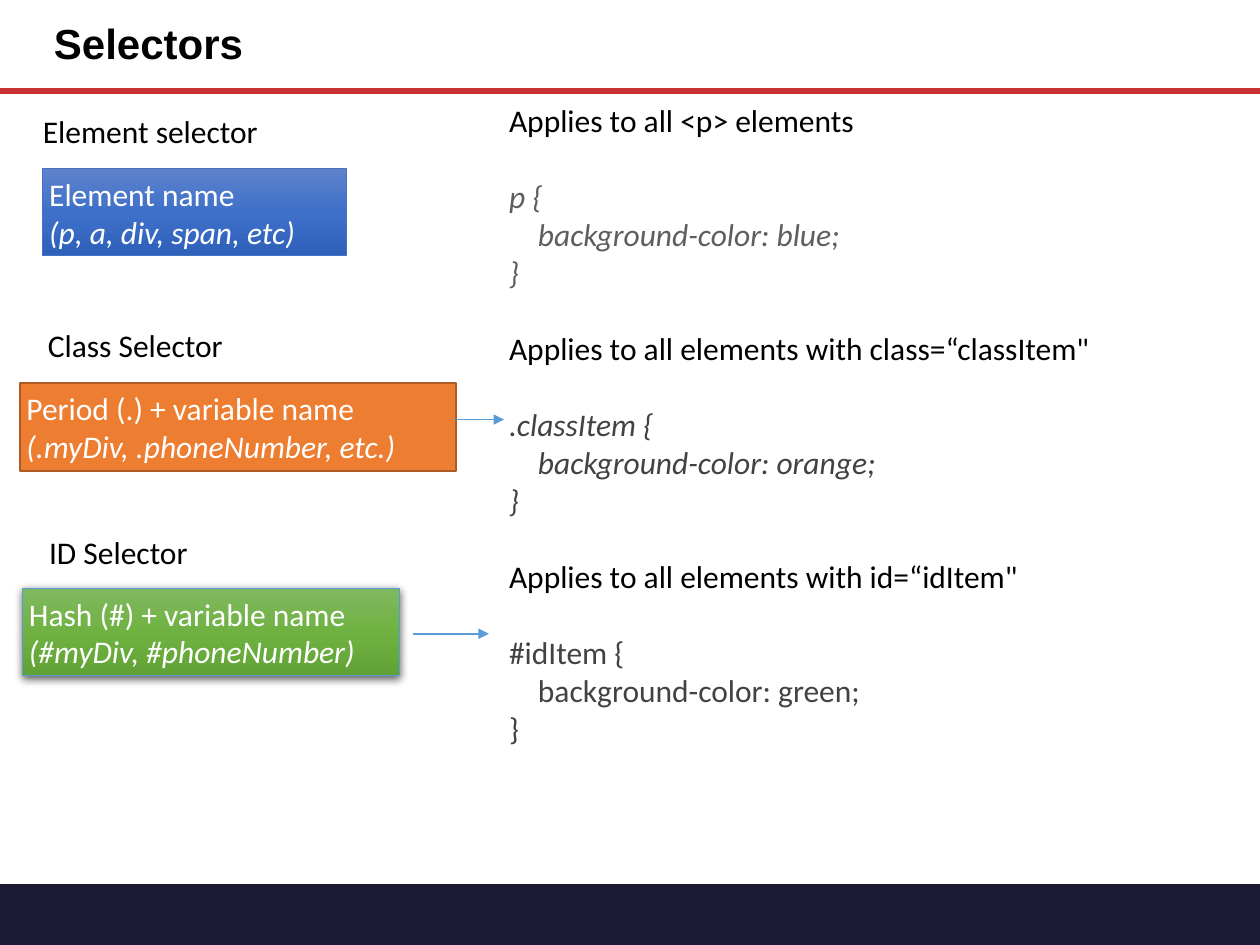
from copy import deepcopy

from lxml import etree
from pptx import Presentation
from pptx.dml.color import RGBColor
from pptx.enum.shapes import MSO_CONNECTOR, MSO_SHAPE
from pptx.enum.text import MSO_ANCHOR, PP_ALIGN
from pptx.oxml.ns import qn
from pptx.util import Inches, Pt

STRAIGHT = MSO_CONNECTOR.STRAIGHT
RECTANGLE = MSO_SHAPE.RECTANGLE
PROCESS = MSO_SHAPE.FLOWCHART_PROCESS
TOP, MIDDLE = MSO_ANCHOR.TOP, MSO_ANCHOR.MIDDLE
LEFT = PP_ALIGN.LEFT

COLORS = {
    "black": "000000", "white": "FFFFFF", "navy": "1D1A36", "red": "C83232",
    "light_gray": "5E5E5E", "dark_gray": "424242", "arrow": "5B9BD5",
    "blue_line": "4472C4", "blue_top": "5F82CB", "blue_mid": "3E70CA", "blue_end": "2F61BA",
    "orange": "ED7D31", "orange_line": "AD5B24",
    "green_top": "80B860", "green_mid": "6FB242", "green_end": "61A236",
}
BLANK_LINE = 22
CODE_INDENT = 0.23


def rgb(name):
    return RGBColor.from_string(COLORS[name])


class SelectorSlide:
    def __init__(self, page, font="Calibri", size=18, inset=0.05):
        self.page = page
        self.font, self.size, self.inset = font, size, inset

    def prepare_frame(self, shape, inset=None, anchor=TOP):
        frame = shape.text_frame
        frame.word_wrap = True
        frame.vertical_anchor = anchor
        margin = Inches(self.inset if inset is None else inset)
        frame.margin_left = frame.margin_right = margin
        frame.margin_top = frame.margin_bottom = Inches(self.inset)
        return frame

    def add_line(self, frame, text, color, italic=False, bold=False,
                 font=None, size=None, before=0, indent=0):
        """Write into the frame's empty first paragraph, or start a new one."""
        first = frame.paragraphs[0]
        para = frame.add_paragraph() if first.runs else first
        para.alignment = LEFT
        para.space_before = Pt(before)
        if indent:
            para._p.get_or_add_pPr().set("marL", str(Inches(indent)))
        span = para.add_run()
        span.text = text
        span.font.name = font or self.font
        span.font.size = Pt(size or self.size)
        span.font.italic, span.font.bold = italic, bold
        span.font.color.rgb = rgb(color)
        return para

    def text_box(self, left, top, width, height, **frame_style):
        box = self.page.shapes.add_textbox(*map(Inches, (left, top, width, height)))
        return self.prepare_frame(box, **frame_style)

    def rectangle(self, left, top, width, height, colors, line=None, weight=1, preset=RECTANGLE):
        """One colour gives a solid fill, three a gradient from top to bottom."""
        shape = self.page.shapes.add_shape(preset, *map(Inches, (left, top, width, height)))
        shape.shadow.inherit = False
        if len(colors) == 1:
            shape.fill.solid()
            shape.fill.fore_color.rgb = rgb(colors[0])
        else:
            shape.fill.gradient()
            shape.fill.gradient_angle = 270
            stop_list = shape._element.spPr.find(".//" + qn("a:gsLst"))
            stop_list.insert(1, deepcopy(stop_list[0]))
            for index, (stop, color) in enumerate(zip(shape.fill.gradient_stops, colors)):
                stop.color.rgb = rgb(color)
                stop.position = index / 2
        if line:
            shape.line.color.rgb = rgb(line)
            shape.line.width = Pt(weight)
        else:
            shape.line.fill.background()
        return shape

    def syntax_box(self, place, rule, example, colors, line, weight):
        shape = self.rectangle(*place, colors, line, weight)
        frame = self.prepare_frame(shape)
        self.add_line(frame, rule, "white")
        self.add_line(frame, example, "white", italic=True)
        return shape

    def drop_shadow(self, shape):
        effects = shape._element.spPr.find(qn("a:effectLst"))
        shadow = etree.SubElement(effects, qn("a:outerShdw"), blurRad=str(Pt(5)),
                                  dist=str(Pt(1.5)), dir="5400000", rotWithShape="0")
        color = etree.SubElement(shadow, qn("a:srgbClr"), val=COLORS["black"])
        etree.SubElement(color, qn("a:alpha"), val="63000")

    def horizontal_line(self, start, end, y, color, weight, arrow=False):
        line = self.page.shapes.add_connector(STRAIGHT, *map(Inches, (start, y, end, y)))
        line.line.color.rgb = rgb(color)
        line.line.width = Pt(weight)
        if arrow:
            etree.SubElement(line.line._get_or_add_ln(), qn("a:tailEnd"), type="triangle")
        etree.SubElement(line._element.spPr, qn("a:effectLst"))

    def code_examples(self, frame, examples):
        for number, (heading, selector, value, color, italic) in enumerate(examples):
            self.add_line(frame, heading, "black", before=BLANK_LINE if number else 0)
            self.add_line(frame, selector + " {", color, italic, before=BLANK_LINE)
            self.add_line(frame, f"background-color: {value};", color, italic, indent=CODE_INDENT)
            self.add_line(frame, "}", color, italic)


def main():
    deck = Presentation()
    deck.slide_width, deck.slide_height = Inches(10), Inches(7.5)
    slide = SelectorSlide(deck.slides.add_slide(deck.slide_layouts[6]))

    slide.rectangle(0, 7.02, 10.01, 0.5, ["navy"], preset=PROCESS)
    slide.horizontal_line(0, 10, 0.72, "red", 3.25)
    title = slide.text_box(0.33, 0, 5.98, 0.72, inset=0.1, anchor=MIDDLE)
    slide.add_line(title, "Selectors", "black", bold=True, font="Arial", size=24).line_spacing = 0.9

    slide.code_examples(slide.text_box(3.99, 0.75, 5.33, 5.06), [
        ("Applies to all <p> elements", "p", "blue", "light_gray", True),
        ("Applies to all elements with class=“classItem\"", ".classItem", "orange",
         "dark_gray", True),
        ("Applies to all elements with id=“idItem\"", "#idItem", "green", "dark_gray", False),
    ])

    slide.syntax_box((0.34, 1.34, 2.41, 0.69), "Element name", "(p, a, div, span, etc)",
                     ["blue_top", "blue_mid", "blue_end"], "blue_line", 0.5)
    slide.syntax_box((0.16, 3.04, 3.46, 0.7), "Period (.) + variable name",
                     "(.myDiv, .phoneNumber, etc.)", ["orange"], "orange_line", 1)
    id_box = slide.syntax_box((0.18, 4.67, 2.99, 0.69), "Hash (#) + variable name",
                              "(#myDiv, #phoneNumber)",
                              ["green_top", "green_mid", "green_end"], "arrow", 0.5)
    slide.drop_shadow(id_box)

    for start, end, y in [(3.28, 3.88, 5.03), (3.6, 4, 3.33)]:
        slide.horizontal_line(start, end, y, "arrow", 1, arrow=True)

    for left, top, width, label in [(0.29, 0.84, 2.01, "Element selector"),
                                    (0.33, 2.54, 1.67, "Class Selector"),
                                    (0.34, 4.18, 1.33, "ID Selector")]:
        slide.add_line(slide.text_box(left, top, width, 0.39), label, "black")

    deck.save("out.pptx")


if __name__ == "__main__":
    main()
